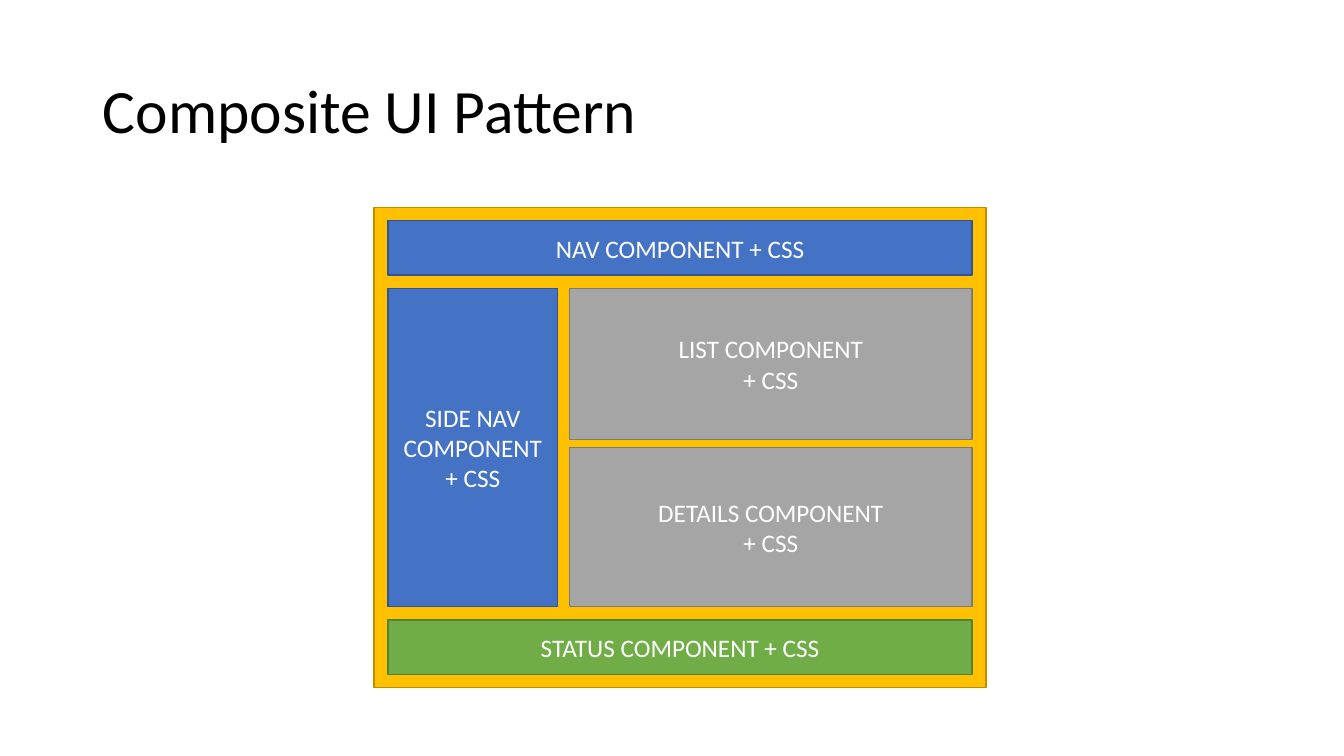
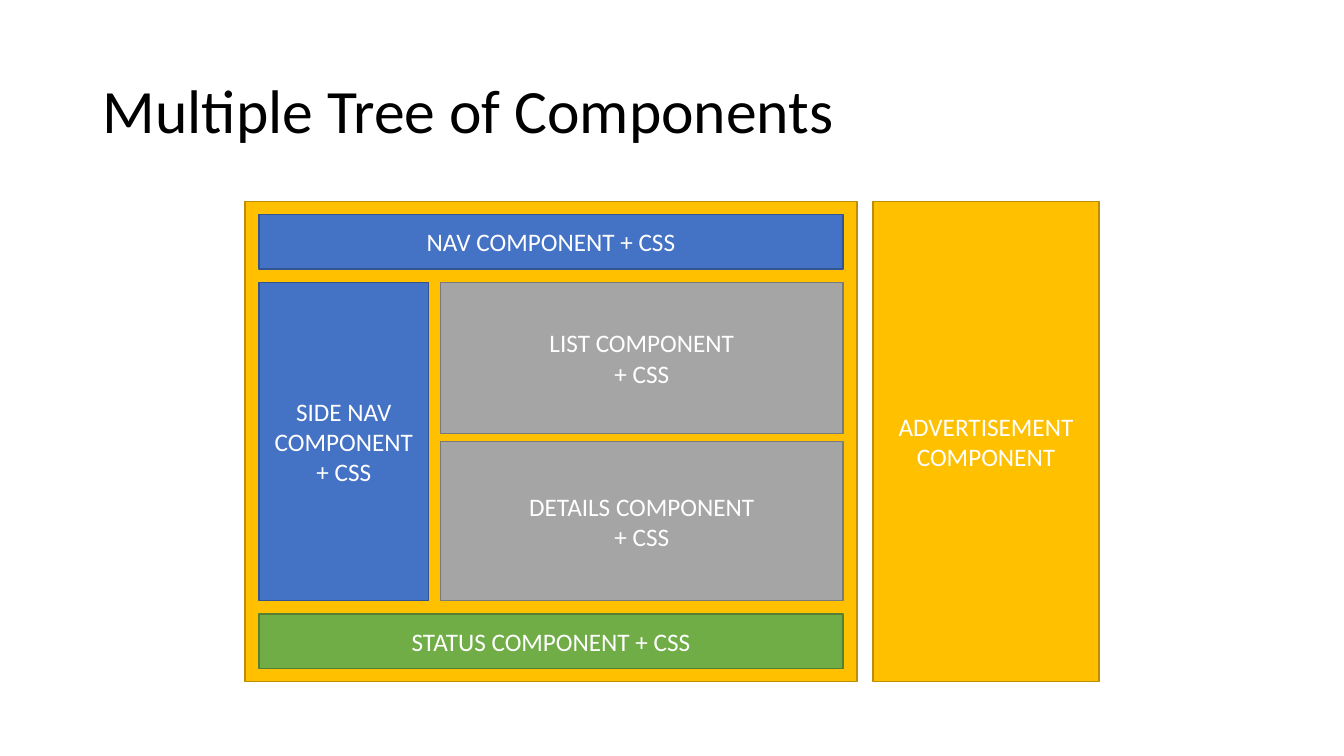
from pptx import Presentation
from pptx.dml.color import RGBColor
from pptx.enum.shapes import MSO_SHAPE
from pptx.enum.text import MSO_ANCHOR, MSO_AUTO_SIZE, PP_ALIGN
from pptx.util import Emu, Pt

EMU_PER_PX = 9144
FONT = "Calibri"
BLACK, WHITE = "000000", "FFFFFF"
AMBER = ("FFC000", "BD8E00")
BLUE = ("4472C4", "325491")
GRAY = ("A5A5A5", "7A7A7A")
GREEN = ("70AD47", "538035")

TITLE_BOX = (92, 40, 1150, 145)
FRAME_WIDTH, FRAME_HEIGHT = 607, 476
PAD_X, PAD_Y = 14, 13
BAR_HEIGHT = 54
SIDE_WIDTH, SIDE_GAP = 168, 12
LIST_HEIGHT, LIST_GAP = 150, 8
AD_GAP, AD_WIDTH = 16, 224


def px(length):
    return Emu(length * EMU_PER_PX)


def color(hex_string):
    return RGBColor.from_string(hex_string)


def place(shape, box):
    shape.left, shape.top, shape.width, shape.height = map(px, box)


def add_text(paragraph, text, size, hex_string):
    run = paragraph.add_run()
    run.text = text
    run.font.name = FONT
    run.font.size = Pt(size)
    run.font.color.rgb = color(hex_string)


def add_titled_slide(deck, heading):
    slide = deck.slides.add_slide(deck.slide_layouts[5])
    title = slide.shapes.title
    place(title, TITLE_BOX)
    frame = title.text_frame
    frame.auto_size = MSO_AUTO_SIZE.NONE
    frame.word_wrap = True
    frame.vertical_anchor = MSO_ANCHOR.MIDDLE
    paragraph = frame.paragraphs[0]
    paragraph.alignment = PP_ALIGN.LEFT
    paragraph.line_spacing = 0.9
    add_text(paragraph, heading, 44, BLACK)
    return slide


def add_block(slide, box, colors, *lines):
    block = slide.shapes.add_shape(MSO_SHAPE.RECTANGLE, *map(px, box))
    fill, outline = colors
    block.shadow.inherit = False
    block.fill.solid()
    block.fill.fore_color.rgb = color(fill)
    block.line.color.rgb = color(outline)
    block.line.width = Pt(1)
    frame = block.text_frame
    frame.word_wrap = True
    frame.vertical_anchor = MSO_ANCHOR.MIDDLE
    for index, line in enumerate(lines):
        paragraph = frame.add_paragraph() if index else frame.paragraphs[0]
        paragraph.alignment = PP_ALIGN.CENTER
        add_text(paragraph, line, 18, WHITE)


def add_composite(slide, left, top):
    inner_left = left + PAD_X
    inner_width = FRAME_WIDTH - 2 * PAD_X
    nav_top = top + PAD_Y
    status_top = top + FRAME_HEIGHT - PAD_Y - BAR_HEIGHT
    body_top = nav_top + BAR_HEIGHT + PAD_Y
    body_height = status_top - PAD_Y - body_top
    main_left = inner_left + SIDE_WIDTH + SIDE_GAP
    main_width = inner_width - SIDE_WIDTH - SIDE_GAP
    details_top = body_top + LIST_HEIGHT + LIST_GAP
    details_height = body_height - LIST_HEIGHT - LIST_GAP

    add_block(slide, (left, top, FRAME_WIDTH, FRAME_HEIGHT), AMBER)
    add_block(slide, (inner_left, nav_top, inner_width, BAR_HEIGHT), BLUE,
              "NAV COMPONENT + CSS")
    add_block(slide, (inner_left, body_top, SIDE_WIDTH, body_height), BLUE,
              "SIDE NAV COMPONENT", "+ CSS")
    add_block(slide, (main_left, body_top, main_width, LIST_HEIGHT), GRAY,
              "LIST COMPONENT", "+ CSS")
    add_block(slide, (main_left, details_top, main_width, details_height), GRAY,
              "DETAILS COMPONENT", "+ CSS")
    add_block(slide, (inner_left, status_top, inner_width, BAR_HEIGHT), GREEN,
              "STATUS COMPONENT + CSS")


def add_advertisement(slide, composite_left, top):
    left = composite_left + FRAME_WIDTH + AD_GAP
    add_block(slide, (left, top, AD_WIDTH, FRAME_HEIGHT), AMBER,
              "ADVERTISEMENT", "COMPONENT")


def main():
    deck = Presentation()
    deck.slide_width, deck.slide_height = px(1333), px(750)

    pattern = add_titled_slide(deck, "Composite UI Pattern")
    add_composite(pattern, 371, 206)

    tree = add_titled_slide(deck, "Multiple Tree of Components")
    add_composite(tree, 243, 200)
    add_advertisement(tree, 243, 200)

    deck.save("out.pptx")


if __name__ == "__main__":
    main()
